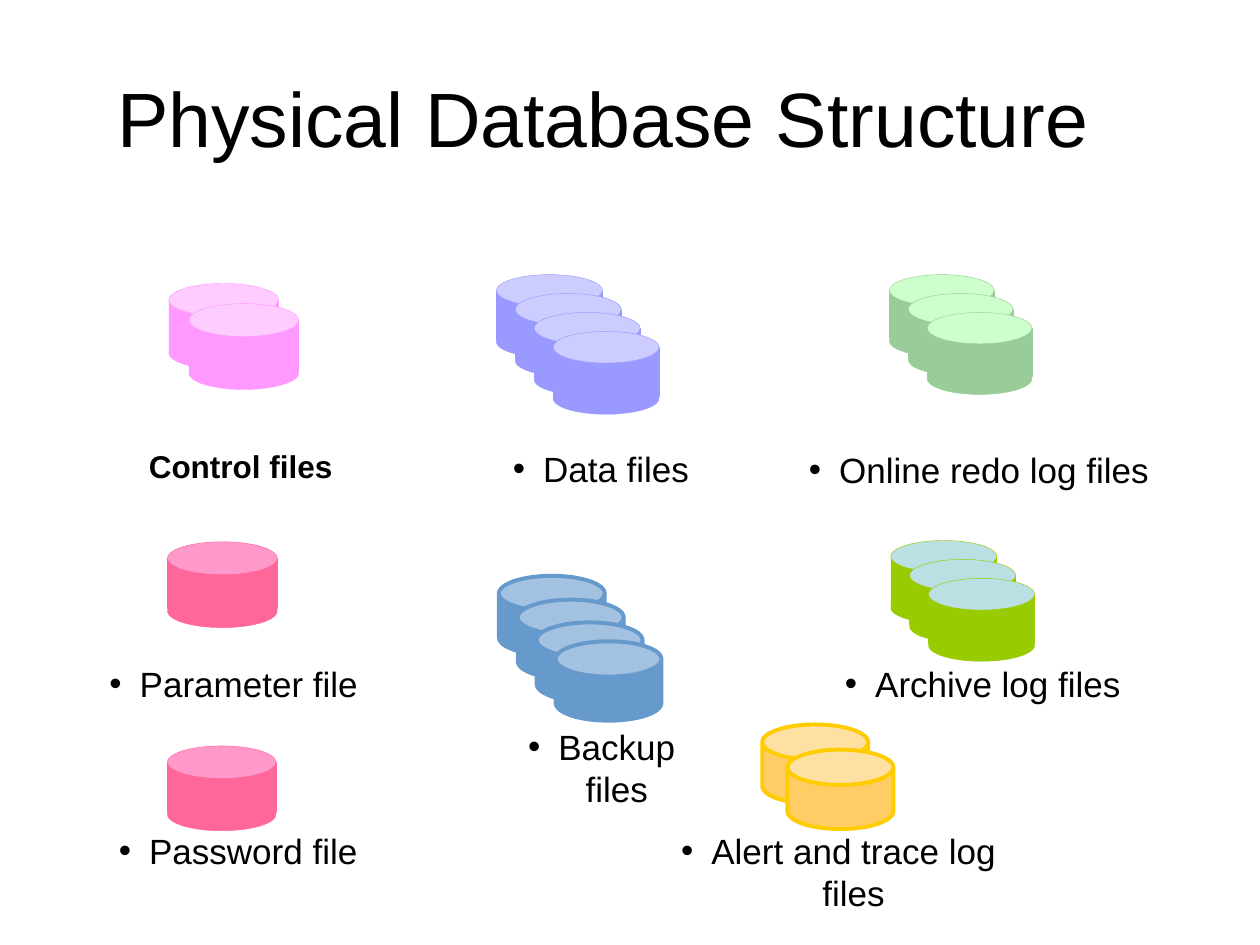
from pptx import Presentation
from pptx.dml.color import RGBColor
from pptx.enum.shapes import MSO_SHAPE
from pptx.enum.text import MSO_ANCHOR, PP_ALIGN
from pptx.util import Inches, Pt
from lxml.etree import SubElement
from pptx.oxml.ns import qn

C = {"text": "000000", "pink": "FF99FF", "pink_top": "FFCCFF",
     "rose": "FF6699", "rose_top": "FF99CC", "violet": "9999FF", "violet_top": "CCCCFF",
     "green": "99CC99", "green_top": "CCFFCC", "lime": "99CC00", "lime_top": "BBE0E3",
     "blue": "6699CC", "amber": "FFCC66", "amber_line": "FFCC00"}

prs = Presentation()
prs.slide_width, prs.slide_height = Inches(10), Inches(7.5)
s = prs.slides.add_slide(prs.slide_layouts[5])


def put_text(sp, text, size=20, bold=False, inset=(0.01, 0.01, 0.01, 0.01),
             anchor=MSO_ANCHOR.TOP, bullet=False, spacing=None):
    """Fill a text frame with one centred, formatted paragraph."""
    tf = sp.text_frame
    tf.word_wrap = True
    tf.vertical_anchor = anchor
    tf.margin_left, tf.margin_top, tf.margin_right, tf.margin_bottom = map(Inches, inset)
    p = tf.paragraphs[0]
    p.alignment = PP_ALIGN.CENTER
    if spacing:
        p.line_spacing = spacing
    if bullet:
        p.space_before = Pt(size * 0.2)
        pPr = p._p.get_or_add_pPr()
        pPr.set("marL", str(Inches(0.24)))
        pPr.set("indent", str(-Inches(0.24)))
        SubElement(pPr, qn("a:buFont")).set("typeface", "Arial")
        SubElement(pPr, qn("a:buChar")).set("char", "•")
    r = p.add_run()
    r.text = text
    r.font.name, r.font.size, r.font.bold = "Arial", Pt(size), bold
    r.font.color.rgb = RGBColor.from_string(C["text"])


def add_part(shapes, kind, box, fill, line, weight):
    """Add one filled, outlined shape without a shadow."""
    sp = shapes.add_shape(kind, *map(Inches, box))
    sp.shadow.inherit = False
    sp.fill.solid()
    sp.fill.fore_color.rgb = RGBColor.from_string(C[fill])
    sp.line.color.rgb = RGBColor.from_string(C[line])
    sp.line.width = Pt(weight)
    return sp


title = s.shapes.title
title.left, title.top, title.width, title.height = map(Inches, (0.5, 0.3, 9, 1.25))
put_text(title, "Physical Database Structure", size=44,
         inset=(0.1, 0.05, 0.52, 0.05), anchor=MSO_ANCHOR.MIDDLE)

# Drums of rect and ellipses: colour, left, top, width, count, step
for color, left, top, width, count, step in [
        ("green", 7.06, 2.18, 0.83, 3, 0.15),
        ("rose", 1.33, 5.92, 0.86, 1, 0),
        ("rose", 1.33, 4.3, 0.87, 1, 0),
        ("pink", 1.34, 2.25, 0.87, 2, 0.16),
        ("violet", 3.94, 2.18, 0.84, 4, 0.15),
        ("lime", 7.07, 4.29, 0.84, 3, 0.15)]:
    stack = s.shapes.add_group_shape().shapes
    lid, body = width * 0.3, width * 0.46
    for i in range(count):
        x, y = left + i * step, top + i * step
        for kind, dy, h, fill in [(MSO_SHAPE.RECTANGLE, lid / 2, body, color),
                                  (MSO_SHAPE.OVAL, 0, lid, color + "_top"),
                                  (MSO_SHAPE.OVAL, body + 0.02, lid, color)]:
            add_part(stack, kind, (x, y + dy, width, h), fill, color, 0.25)

# Outlined cans: fill, line, left, step, tops
for fill, line, left, step, tops in [
        ("amber", "amber_line", 6.05, 0.2, (5.75, 5.95)),
        ("blue", "blue", 3.96, 0.15, (4.57, 4.76, 4.94, 5.09))]:
    stack = s.shapes.add_group_shape().shapes
    for i, top in enumerate(tops):
        can = add_part(stack, MSO_SHAPE.CAN, (left + i * step, top, 0.84, 0.63),
                       fill, line, 2.25)
        can.adjustments[0] = 0.445

for text, left, top, width in [
        ("Data files", 4.02, 3.54, 1.5),
        ("Online redo log files", 6.34, 3.55, 2.86),
        ("Parameter file", 0.77, 5.25, 2.17),
        ("Archive log files", 6.59, 5.25, 2.42),
        ("Backup files", 3.93, 5.75, 1.69),
        ("Password file", 0.75, 6.57, 2.28),
        ("Alert and trace log files", 5.17, 6.57, 2.97)]:
    label = s.shapes.add_textbox(*map(Inches, (left, top, width, 0.36)))
    put_text(label, text, bullet=True)

control = s.shapes.add_textbox(*map(Inches, (1.1, 3.56, 1.62, 0.32)))
put_text(control, "Control files", size=18, bold=True,
         inset=(0.06, 0.03, 0.06, 0.03), spacing=0.85)

prs.save("out.pptx")
